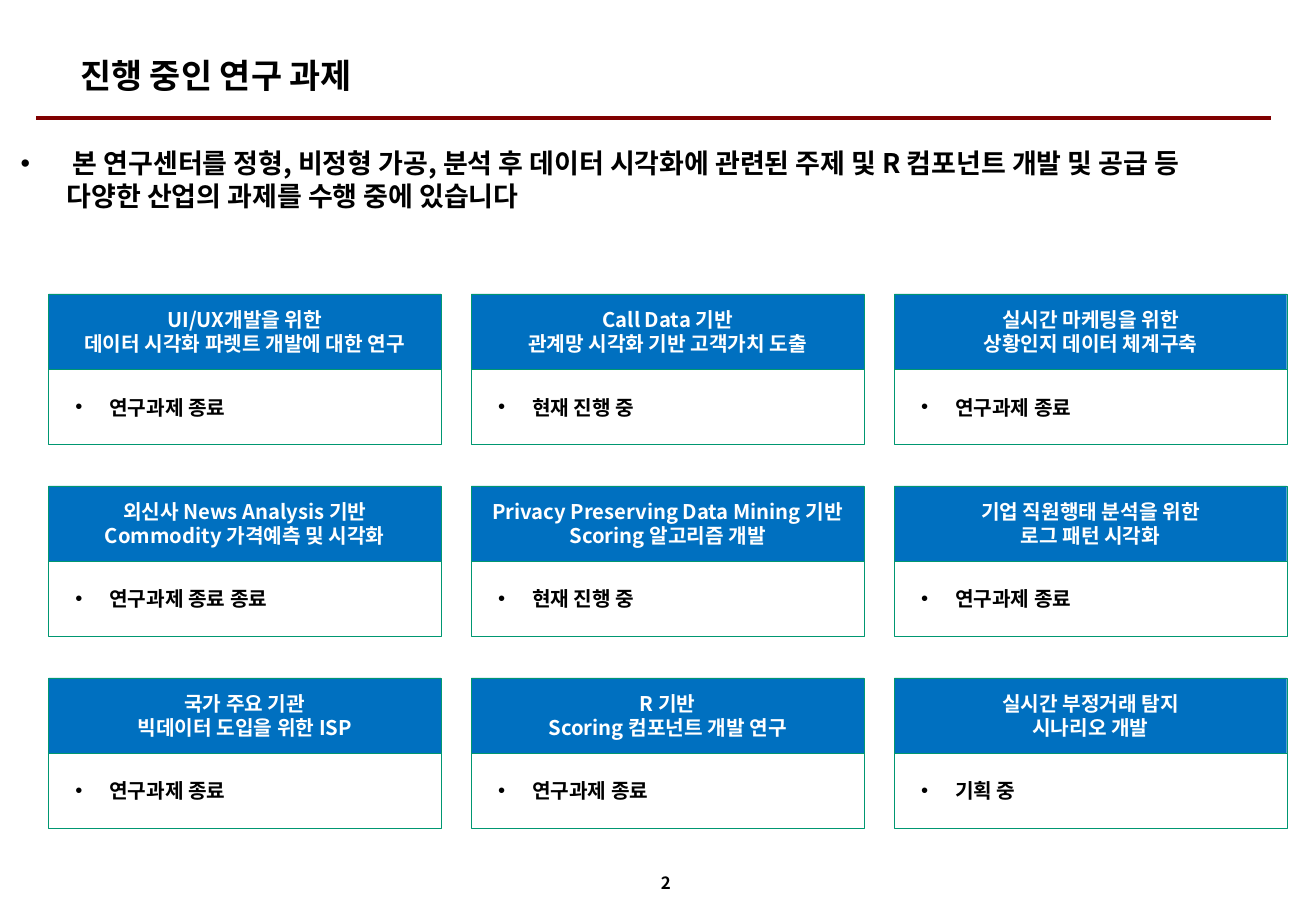
from lxml import etree
from pptx import Presentation
from pptx import util as u
from pptx.dml.color import RGBColor
from pptx.enum import shapes, text
from pptx.oxml.ns import qn

PX = 9144
FONT = "Noto Sans CJK KR"
BLACK, WHITE, BLUE, GREEN, MAROON = "000000", "FFFFFF", "0070C0", "009771", "800000"
CARD_WIDTH, HALF_HEIGHT = 323, 62
COLUMN_STEP, ROW_STEP = 348, 158
PROJECTS = [
    (["UI/UX개발을 위한", "데이터 시각화 파렛트 개발에 대한 연구"], "연구과제 종료"),
    (["Call Data 기반", "관계망 시각화 기반 고객가치 도출"], "현재 진행 중"),
    (["실시간 마케팅을 위한", "상황인지 데이터 체계구축"], "연구과제 종료"),
    (["외신사 News Analysis 기반", "Commodity 가격예측 및 시각화"], "연구과제 종료 종료"),
    (["Privacy Preserving Data Mining 기반", "Scoring 알고리즘 개발"], "현재 진행 중"),
    (["기업 직원행태 분석을 위한", "로그 패턴 시각화"], "연구과제 종료"),
    (["국가 주요 기관", "빅데이터 도입을 위한 ISP"], "연구과제 종료"),
    (["R 기반", "Scoring 컴포넌트 개발 연구"], "연구과제 종료"),
    (["실시간 부정거래 탐지", "시나리오 개발"], "기획 중"),
]


def px(*lengths):
    """Turn px lengths into EMU."""
    return [u.Emu(length * PX) for length in lengths]


def color(hex_code):
    """Turn a hex string into a colour."""
    return RGBColor.from_string(hex_code)


def write(shape, lines, size, ink=BLACK, align=text.PP_ALIGN.LEFT,
          anchor=text.MSO_ANCHOR.MIDDLE, insets=(10, 5), indent=0):
    """Fill a shape with bold lines, bulleted when an indent is given."""
    frame = shape.text_frame
    frame.word_wrap = True
    frame.auto_size = text.MSO_AUTO_SIZE.NONE
    frame.vertical_anchor = anchor
    frame.margin_left, frame.margin_top = px(*insets)
    frame.margin_right, frame.margin_bottom = px(*insets)
    frame.text = "\n".join(lines)
    for paragraph in frame.paragraphs:
        paragraph.alignment = align
        properties = paragraph._p.get_or_add_pPr()
        if indent:
            properties.set("marL", str(indent * PX))
            properties.set("indent", str(-indent * PX))
            etree.SubElement(properties, qn("a:buFont")).set("typeface", "Arial")
            etree.SubElement(properties, qn("a:buChar")).set("char", "•")
        font = paragraph.font
        font.name, font.size, font.bold = FONT, u.Pt(size), True
        font.color.rgb = color(ink)
        defaults = properties.find(qn("a:defRPr"))
        etree.SubElement(defaults, qn("a:ea")).set("typeface", FONT)


def add_title(slide, left, top, width, height):
    """Place the title and the rule under it."""
    title = slide.shapes.title
    title.left, title.top, title.width, title.height = px(left, top, width, height)
    write(title, ["진행 중인 연구 과제"], 20)
    rule = slide.shapes.add_connector(
        shapes.MSO_CONNECTOR.STRAIGHT,
        *px(left - 26, top + height + 5, left + 990, top + height + 5))
    rule.line.color.rgb = color(MAROON)
    rule.line.width = u.Pt(2.25)
    etree.SubElement(rule._element.spPr, qn("a:effectLst"))


def add_intro(slide, left, top, width, height):
    """Place the bulleted introduction."""
    intro = slide.shapes.add_textbox(*px(left, top, width, height))
    write(intro, [" 본 연구센터를 정형, 비정형 가공, 분석 후 데이터 시각화에 관련된 주제 및 "
                  "R 컴포넌트 개발 및 공급 등 다양한 산업의 과제를 수행 중에 있습니다"],
          16, anchor=text.MSO_ANCHOR.TOP, insets=(8, 4), indent=38)


def add_panel(slide, left, top, fill):
    """Place one half of a card."""
    panel = slide.shapes.add_shape(shapes.MSO_SHAPE.RECTANGLE,
                                   *px(left, top, CARD_WIDTH, HALF_HEIGHT))
    panel.shadow.inherit = False
    panel.fill.solid()
    panel.fill.fore_color.rgb = color(fill)
    panel.line.color.rgb = color(GREEN)
    panel.line.width = u.Pt(0.25)
    return panel


def add_card(slide, left, top, heading, status):
    """Place a project card: its heading above its status."""
    header = add_panel(slide, left, top, BLUE)
    write(header, heading, 12, WHITE, text.PP_ALIGN.CENTER, insets=(5, 5))
    body = add_panel(slide, left, top + HALF_HEIGHT, WHITE)
    write(body, [status], 12, insets=(22, 5), indent=28)


def add_projects(slide, left, top):
    """Place the project cards in a grid of three columns."""
    for index, (heading, status) in enumerate(PROJECTS):
        row, column = divmod(index, 3)
        add_card(slide, left + column * COLUMN_STEP, top + row * ROW_STEP,
                 heading, status)


def add_page_number(slide, left, top, width, height):
    """Place the page number."""
    number = slide.shapes.add_textbox(*px(left, top, width, height))
    write(number, ["2"], 10, align=text.PP_ALIGN.CENTER, anchor=text.MSO_ANCHOR.BOTTOM)


def main():
    """Build the slide and save it."""
    presentation = Presentation()
    presentation.slide_width, presentation.slide_height = px(1083, 750)
    slide = presentation.slides.add_slide(presentation.slide_layouts[5])
    add_title(slide, 56, 31, 955, 61)
    add_intro(slide, 9, 117, 1024, 97)
    add_projects(slide, 40, 242)
    add_page_number(slide, 435, 701, 226, 39)
    presentation.save("out.pptx")


if __name__ == "__main__":
    main()
